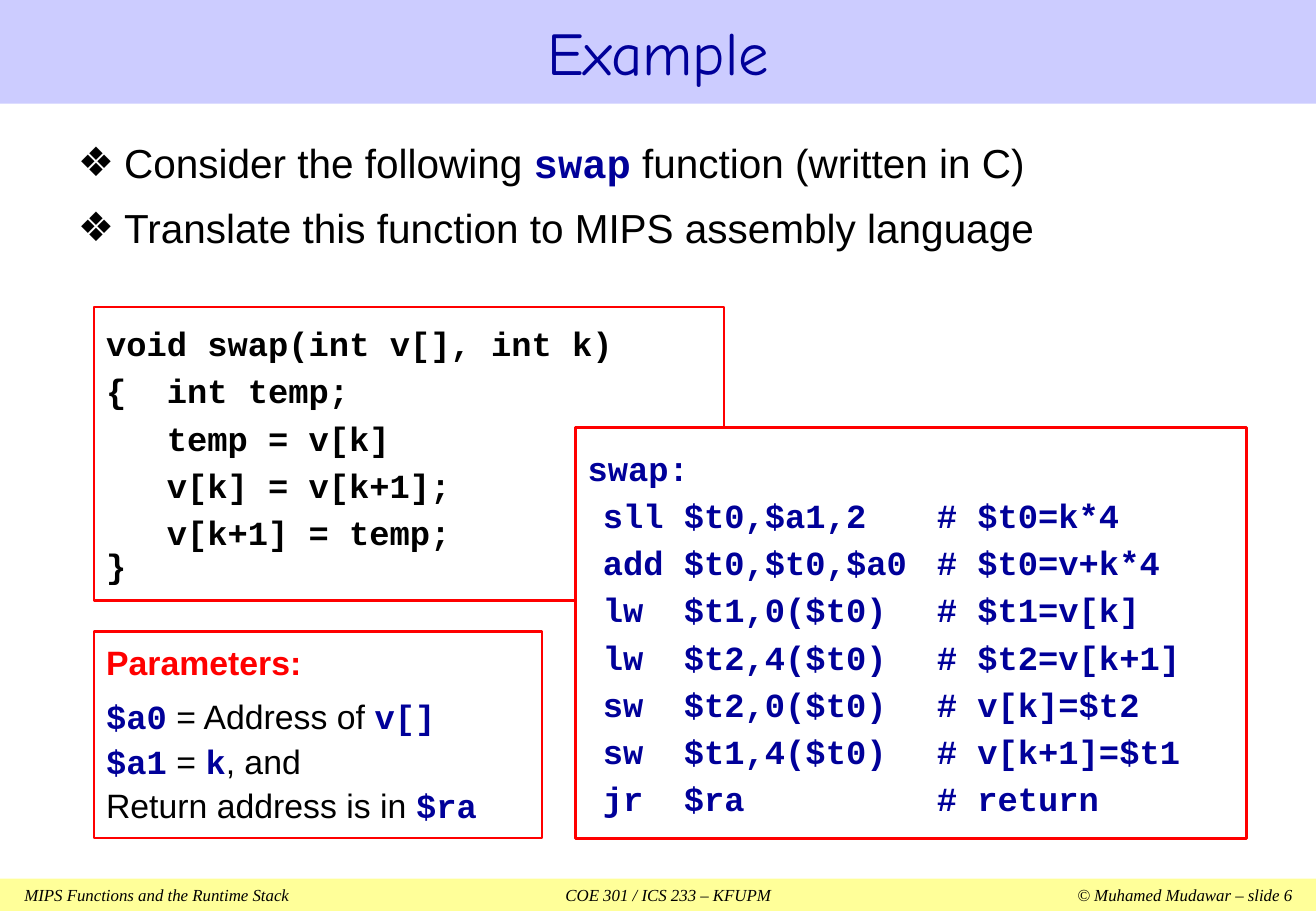
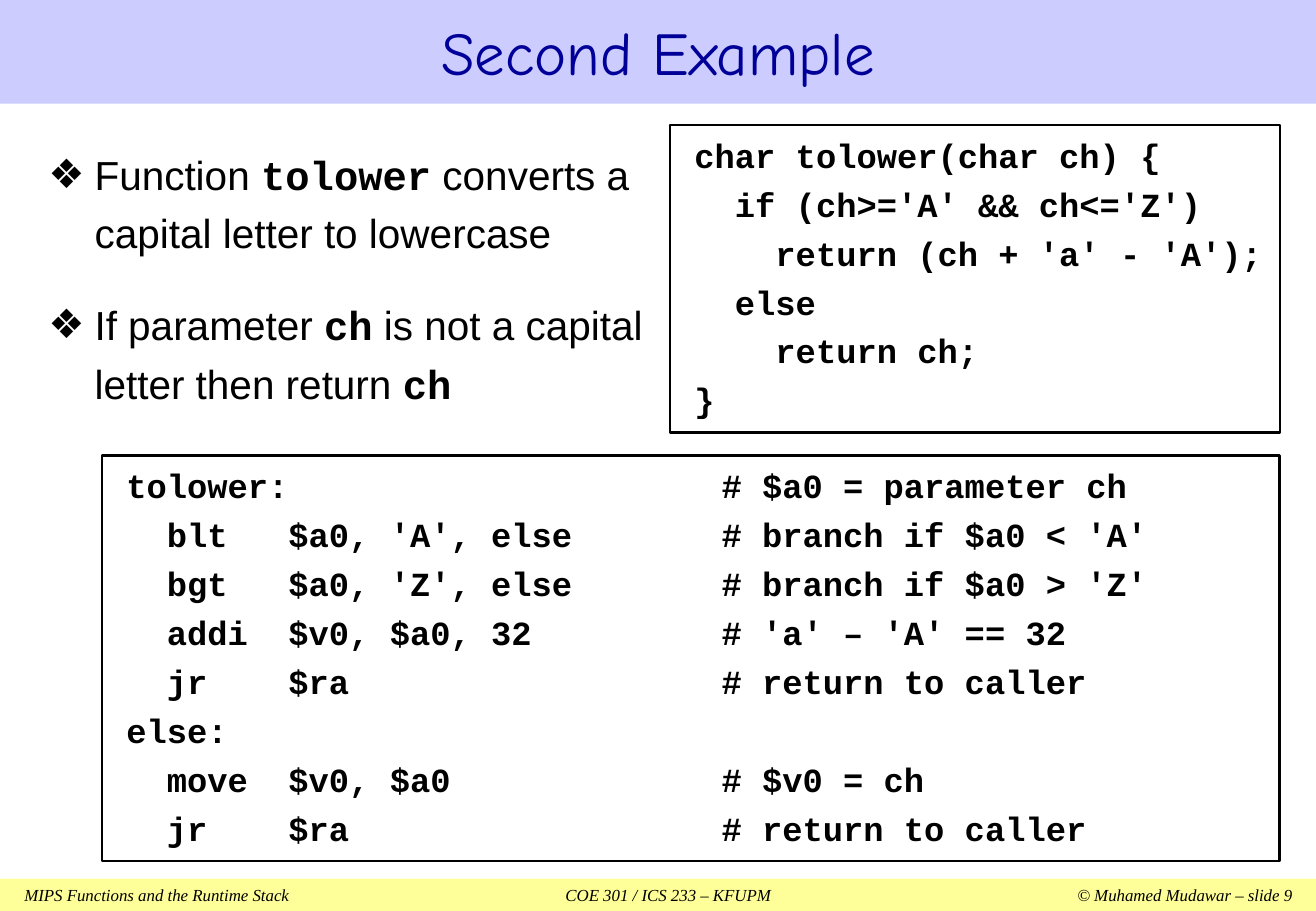
from dataclasses import dataclass

from lxml.etree import SubElement
from pptx import Presentation
from pptx.dml.color import RGBColor
from pptx.enum.shapes import MSO_SHAPE
from pptx.enum.text import MSO_ANCHOR, MSO_AUTO_SIZE, PP_ALIGN
from pptx.oxml.ns import qn
from pptx.util import Pt


@dataclass(frozen=True)
class Theme:
    navy: str = "000099"
    black: str = "000000"
    red: str = "FF0000"
    white: str = "FFFFFF"
    title_band: str = "CCCCFF"
    footer_band: str = "FFFF99"
    title_font: str = "Comic Neue"
    body_font: str = "Arial"
    code_font: str = "Courier New"
    footer_font: str = "Times New Roman"
    title_size: int = 36
    body_size: int = 24
    code_size: int = 20
    footer_size: int = 10


theme = Theme()
WIDTH, HEIGHT = 780, 540


def write(frame, lines, font=theme.body_font, size=theme.code_size, color=theme.black,
          code_color=theme.navy, bold=False, italic=False, align=PP_ALIGN.LEFT,
          before=0, spacing=1.0, hanging=0, bullet=None, tabs=()):
    """Append one paragraph per line; text between backticks is set as code."""
    for line in lines:
        paragraph = frame.paragraphs[0]
        if paragraph.runs:
            paragraph = frame.add_paragraph()
        paragraph.alignment = align
        paragraph.space_before = Pt(before)
        paragraph.line_spacing = spacing
        properties = paragraph._p.get_or_add_pPr()
        if bullet:
            properties.set("marL", str(Pt(hanging)))
            properties.set("indent", str(Pt(-hanging)))
            SubElement(properties, qn("a:buChar")).set("char", bullet)
        if tabs:
            tab_list = SubElement(properties, qn("a:tabLst"))
            for position, kind in tabs:
                tab = SubElement(tab_list, qn("a:tab"))
                tab.set("pos", str(Pt(position)))
                tab.set("algn", kind)
        for index, part in enumerate(line.split("`")):
            if part:
                is_code = index % 2 == 1
                run = paragraph.add_run()
                run.text = part
                run.font.name = theme.code_font if is_code else font
                run.font.size = Pt(size)
                run.font.bold = bold or is_code
                run.font.italic = italic
                run.font.color.rgb = RGBColor.from_string(code_color if is_code else color)


def add_box(slide, left, top, width, height, fill=None, line=None,
            inset=3.6, left_inset=7.2, anchor=MSO_ANCHOR.TOP):
    """Add a plain rectangle and return its text frame."""
    shape = slide.shapes.add_shape(MSO_SHAPE.RECTANGLE, Pt(left), Pt(top), Pt(width), Pt(height))
    shape.shadow.inherit = False
    if fill:
        shape.fill.solid()
        shape.fill.fore_color.rgb = RGBColor.from_string(fill)
    else:
        shape.fill.background()
    if line:
        shape.line.color.rgb = RGBColor.from_string(line)
        shape.line.width = Pt(1.5)
    else:
        shape.line.fill.background()
    frame = shape.text_frame
    frame.word_wrap = True
    frame.vertical_anchor = anchor
    frame.margin_top = frame.margin_bottom = Pt(inset)
    frame.margin_left = Pt(left_inset)
    return frame


presentation = Presentation()
presentation.slide_width, presentation.slide_height = Pt(WIDTH), Pt(HEIGHT)

# Title, bullets and footer of every slide
pages = [
    dict(title="Example", number=6, place=(39, 78.5, 702, 92),
         bullets=["Consider the following `swap` function (written in C)",
                  "Translate this function to MIPS assembly language"],
         style=dict(before=9.6)),
    dict(title="Second Example", number=9, place=(21.5, 79.5, 368.5, 177),
         bullets=["Function `tolower` converts a capital letter to lowercase",
                  "If parameter `ch` is not a capital letter then return `ch`"],
         style=dict(before=20, spacing=1.2, code_color=theme.black)),
]
slides = []
for page in pages:
    slide = presentation.slides.add_slide(presentation.slide_layouts[1])
    slides.append(slide)
    title, body = slide.shapes.title, slide.placeholders[1]
    for shape, place in ((title, (0, -1, WIDTH, 62.5)), (body, page["place"])):
        shape.left, shape.top, shape.width, shape.height = map(Pt, place)
        shape.text_frame.word_wrap = True
        shape.text_frame.auto_size = MSO_AUTO_SIZE.NONE
    title.fill.solid()
    title.fill.fore_color.rgb = RGBColor.from_string(theme.title_band)
    title.text_frame.vertical_anchor = MSO_ANCHOR.MIDDLE
    write(title.text_frame, [page["title"]], font=theme.title_font, size=theme.title_size,
          color=theme.navy, align=PP_ALIGN.CENTER)
    write(body.text_frame, page["bullets"], size=theme.body_size,
          hanging=27.36, bullet="❖", **page["style"])
    footer = add_box(slide, 0, 520.8, WIDTH, 19.2, fill=theme.footer_band, left_inset=14.4)
    write(footer, ["MIPS Functions and the Runtime Stack\tCOE 301 / ICS 233 – KFUPM\t"
                   f"© Muhamed Mudawar – slide {page['number']}"],
          font=theme.footer_font, size=theme.footer_size, italic=True,
          tabs=[(381.6, "ctr"), (751.5, "r")])

swap_slide, tolower_slide = slides

# Swap: parameters
parameters = add_box(swap_slide, 55.8, 374.2, 265.5, 122.5, line=theme.red)
write(parameters, ["Parameters:"], color=theme.red, bold=True, spacing=1.1)
write(parameters, ["`$a0` = Address of `v[]`"], before=6, spacing=1.1)
write(parameters, ["`$a1` = `k`, and", "Return address is in `$ra`"], spacing=1.1)

# Swap: C function
code = dict(font=theme.code_font, bold=True)
swap_code = add_box(swap_slide, 55.8, 182, 373.5, 174, line=theme.red, inset=7.2,
                    anchor=MSO_ANCHOR.MIDDLE)
write(swap_code, ["void swap(int v[], int k)", "{  int temp;", "\ttemp = v[k]",
                  "\tv[k] = v[k+1];", "\tv[k+1] = temp;"],
      before=4, tabs=[(36, "l")], **code)
write(swap_code, ["}"], spacing=0.8, **code)

# Swap: assembly
swap_assembly = add_box(swap_slide, 341.2, 253.5, 397.5, 243.5, fill=theme.white,
                        line=theme.red, anchor=MSO_ANCHOR.MIDDLE)
write(swap_assembly, ["swap:", "\tsll $t0,$a1,2\t# $t0=k*4", "\tadd $t0,$t0,$a0\t# $t0=v+k*4",
                      "\tlw  $t1,0($t0)\t# $t1=v[k]", "\tlw  $t2,4($t0)\t# $t2=v[k+1]",
                      "\tsw  $t2,0($t0)\t# v[k]=$t2", "\tsw  $t1,4($t0)\t# v[k+1]=$t1",
                      "\tjr  $ra\t# return"],
      color=theme.navy, before=4, tabs=[(9, "l"), (207, "l")], **code)

# Tolower: C function
tolower_code = add_box(tolower_slide, 397.2, 74, 361.5, 182.5, line=theme.black,
                       inset=5.76, left_inset=14.4)
write(tolower_code, ["char tolower(char ch) {", "  if (ch>='A' && ch<='Z')",
                     "    return (ch + 'a' - 'A');", "  else", "    return ch;", "}"],
      before=5, **code)

# Tolower: assembly
tolower_assembly = add_box(tolower_slide, 60.5, 270, 698, 240.5, line=theme.black,
                           inset=5.76, left_inset=14.4)
write(tolower_assembly, ["tolower:\t# $a0 = parameter ch",
                         "  blt   $a0, 'A', else\t# branch if $a0 < 'A'",
                         "  bgt   $a0, 'Z', else\t# branch if $a0 > 'Z'",
                         "  addi  $v0, $a0, 32\t# 'a' – 'A' == 32",
                         "  jr    $ra\t# return to caller", "else:",
                         "  move  $v0, $a0\t# $v0 = ch", "  jr    $ra\t# return to caller"],
      before=5, tabs=[(352.8, "l")], **code)

presentation.save("out.pptx")
